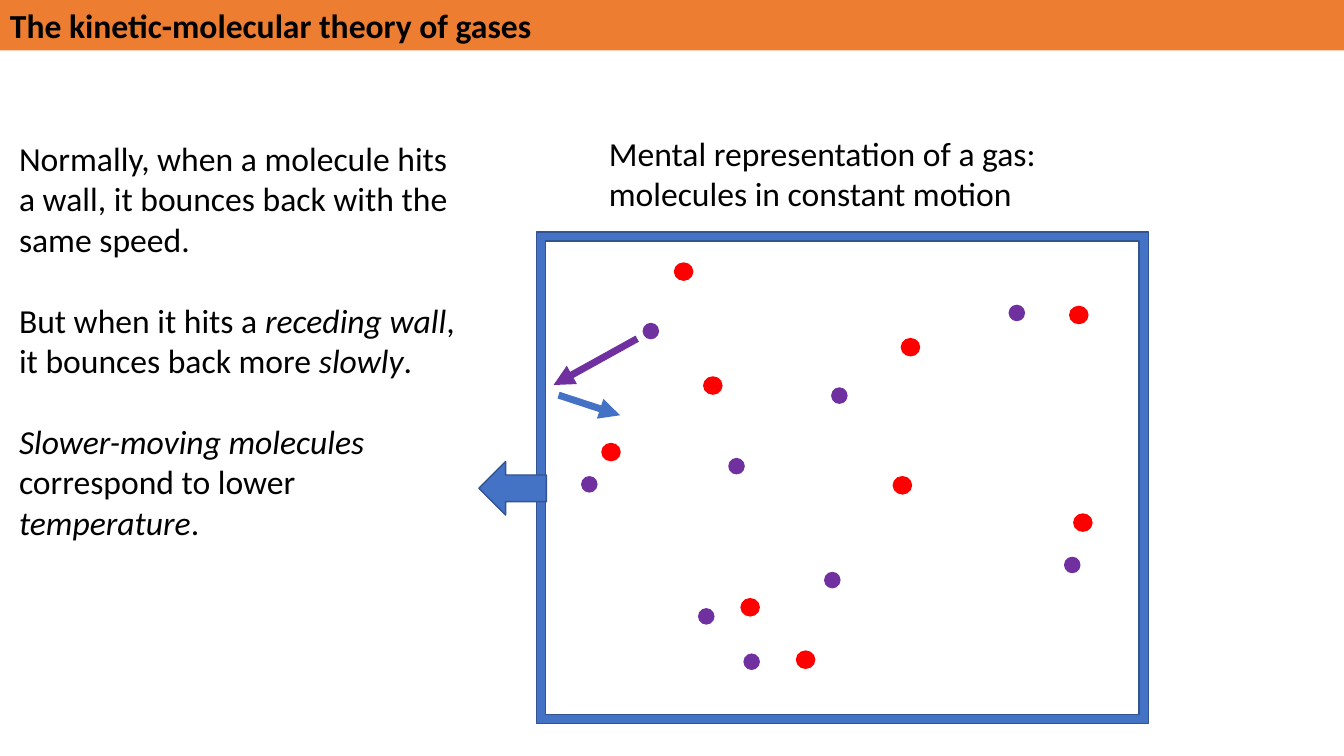
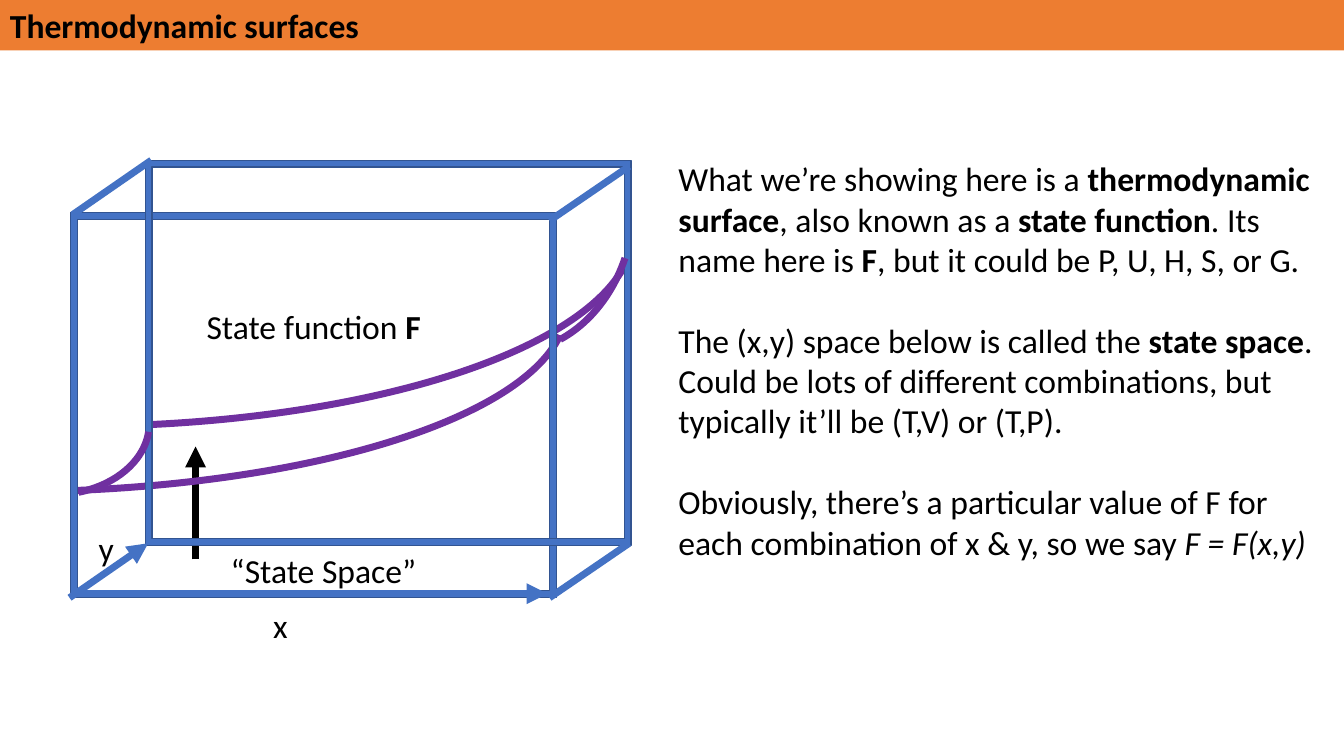
from lxml.etree import SubElement
from pptx import Presentation
from pptx.dml.color import RGBColor
from pptx.enum.shapes import MSO_CONNECTOR, MSO_SHAPE as Preset
from pptx.enum.text import MSO_ANCHOR, PP_ALIGN
from pptx.oxml.ns import qn
from pptx.util import Pt

PX = 9144  # EMU in one px, 100 px to the inch
ORANGE, BLUE, DARK_BLUE = "ED7D31", "4472C4", "325491"
PURPLE, RED, BLACK = "7030A0", "FF0000", "000000"
BAND = (0, 0, 1333, 50)
BASE_FONT = {"size": Pt(24), "name": "Calibri", "bold": False, "italic": False}
BOLD, ITALIC = {"bold": True}, {"italic": True}
PARAGRAPH_GAP = Pt(29)

color = RGBColor.from_string


def draw_shape(slide, preset, box, fill=None, line=None, line_width=1, adjustments=()):
    shape = slide.shapes.add_shape(preset, *[value * PX for value in box])
    shape.shadow.inherit = False
    for index, value in enumerate(adjustments):
        shape.adjustments[index] = value
    if fill:
        shape.fill.solid()
        shape.fill.fore_color.rgb = color(fill)
    else:
        shape.fill.background()
    if line:
        shape.line.color.rgb = color(line)
        shape.line.width = Pt(line_width)
    else:
        shape.line.fill.background()
    return shape


def draw_line(slide, ends, line, arrow=True):
    connector = slide.shapes.add_connector(
        MSO_CONNECTOR.STRAIGHT, *[value * PX for value in ends])
    connector.line.color.rgb = color(line)
    connector.line.width = Pt(5)
    properties = connector._element.spPr
    if arrow:
        SubElement(properties.find(qn("a:ln")), qn("a:tailEnd"), type="triangle")
    SubElement(properties, qn("a:effectLst"))


presentation = Presentation()
presentation.slide_width, presentation.slide_height = 1333 * PX, 750 * PX
blank = presentation.slide_layouts[6]
gas_slide = presentation.slides.add_slide(blank)
surface_slide = presentation.slides.add_slide(blank)

# Gas in a container with a receding wall
draw_shape(gas_slide, Preset.FRAME, (532, 230, 607, 488), BLUE, DARK_BLUE,
           adjustments=[0.019])
molecules = [
    (PURPLE, 15, 15, [(638, 321), (693, 604), (825, 385), (723, 455), (1001, 303),
                      (818, 568), (577, 473), (1056, 553), (738, 649)]),
    (RED, 18, 17, [(669, 261), (735, 594), (894, 336), (698, 374), (1061, 304),
                   (886, 473), (597, 440), (1065, 510), (790, 646)]),
]
for molecule_color, width, height, places in molecules:
    for left, top in places:
        draw_shape(gas_slide, Preset.OVAL, (left, top, width, height),
                   molecule_color, molecule_color)
draw_line(gas_slide, (632, 336, 549, 382), PURPLE)
draw_line(gas_slide, (554, 392, 615, 412), BLUE)
draw_shape(gas_slide, Preset.LEFT_ARROW, (475, 458, 67, 53), BLUE, DARK_BLUE)

# Box with the surface inside it
draw_line(surface_slide, (194, 555, 194, 443), BLACK)
surface_edges = [((-479, 32, 1108, 391), 1.771), ((-546, 121, 1108, 367), 1.771),
                 ((-43, 350, 191, 141), 2.866), ((380, 49, 249, 301), 15.66)]
for box, start in surface_edges[:2]:
    draw_shape(surface_slide, Preset.ARC, box, None, PURPLE, 5, [start, 41.736])
for left, top in [(70, 211), (144, 159)]:
    draw_shape(surface_slide, Preset.FRAME, (left, top, 482, 382), BLUE, DARK_BLUE,
               adjustments=[0.018])
for ends in [(72, 213, 150, 159), (545, 219, 624, 165), (545, 593, 624, 539)]:
    draw_line(surface_slide, ends, BLUE, arrow=False)
draw_line(surface_slide, (69, 593, 147, 539), BLUE)
for box, start in surface_edges[2:]:
    draw_shape(surface_slide, Preset.ARC, box, None, PURPLE, 5, [start, 41.736])
draw_line(surface_slide, (72, 589, 543, 589), BLUE)

# Each text: slide, box, wrap, paragraphs made of (words, emphasis) runs
texts = [
    (gas_slide, (594, 127, 448, 91), True, [
        [("Mental representation of a gas: molecules in constant motion", {})]]),
    (gas_slide, (9, 132, 465, 414), True, [
        [("Normally, when a molecule hits a wall, it bounces back with the same speed.", {})],
        [("But when it hits a ", {}), ("receding wall", ITALIC),
         (", it bounces back more ", {}), ("slowly", ITALIC), (".", {})],
        [("Slower-moving molecules", ITALIC), (" correspond to lower ", {}),
         ("temperature", ITALIC), (".", {})]]),
    (gas_slide, BAND, True, [[("The kinetic-molecular theory of gases", BOLD)]]),
    (surface_slide, (663, 152, 662, 414), True, [
        [("What we’re showing here is a ", {}), ("thermodynamic surface", BOLD),
         (", also known as a ", {}), ("state function", BOLD),
         (". Its name here is ", {}), ("F", BOLD),
         (", but it could be P, U, H, S, or G.", {})],
        [("The (x,y) space below is called the ", {}), ("state space", BOLD),
         (". Could be lots of different combinations, but typically it’ll be "
          "(T,V) or (T,P).", {})],
        [("Obviously, there’s a particular value of F for each combination of "
          "x & y, so we say ", {}), ("F = F(x,y)", ITALIC)]]),
    (surface_slide, (195, 299, 235, 50), False, [[("State function ", {}), ("F", BOLD)]]),
    (surface_slide, (261, 595, 35, 50), False, [[("x", {})]]),
    (surface_slide, (88, 519, 35, 50), False, [[("y", {})]]),
    (surface_slide, (219, 541, 316, 50), True, [[("“State Space”", {})]]),
    (surface_slide, BAND, True, [[("Thermodynamic surfaces", BOLD)]]),
]
for slide, box, wrap, paragraphs in texts:
    if box == BAND:
        shape = draw_shape(slide, Preset.RECTANGLE, box, ORANGE)
    else:
        shape = slide.shapes.add_textbox(*[value * PX for value in box])
    frame = shape.text_frame
    frame.word_wrap = wrap
    frame.vertical_anchor = MSO_ANCHOR.MIDDLE if box == BAND else MSO_ANCHOR.TOP
    for index, runs in enumerate(paragraphs):
        paragraph = frame.add_paragraph() if index else frame.paragraphs[0]
        paragraph.alignment = PP_ALIGN.LEFT
        if index:
            paragraph.space_before = PARAGRAPH_GAP
        for words, emphasis in runs:
            run = paragraph.add_run()
            run.text = words
            run.font.color.rgb = color(BLACK)
            for name, value in {**BASE_FONT, **emphasis}.items():
                setattr(run.font, name, value)

presentation.save("out.pptx")
